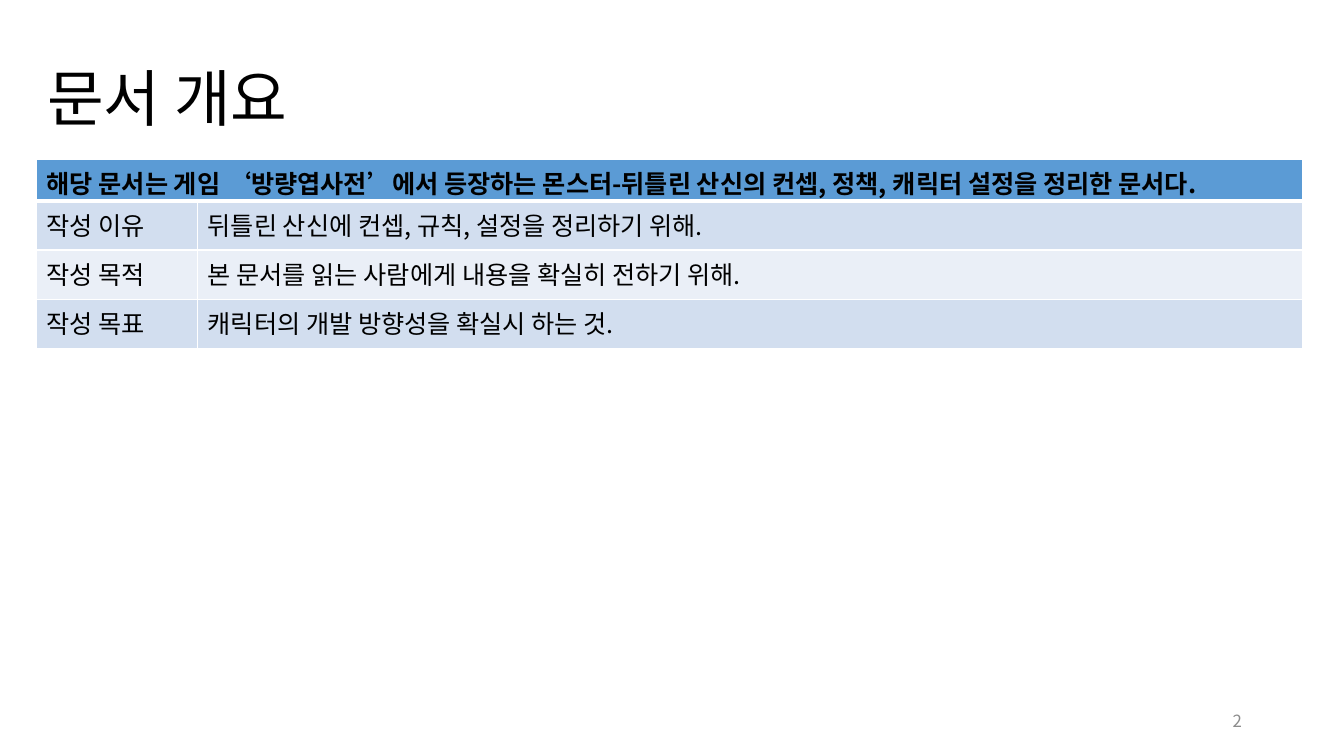
from lxml.etree import SubElement
from pptx import Presentation
from pptx.dml.color import RGBColor
from pptx.enum.text import MSO_ANCHOR as Anchor, PP_ALIGN as Align
from pptx.oxml.ns import qn
from pptx.util import Cm, Pt

BLACK = RGBColor(0x00, 0x00, 0x00)
GRAY = RGBColor(0x8C, 0x8C, 0x8C)
WHITE = RGBColor(0xFF, 0xFF, 0xFF)
HEADER_BLUE = RGBColor(0x5B, 0x9B, 0xD5)
BAND_DARK = RGBColor(0xD2, 0xDE, 0xEF)
BAND_LIGHT = RGBColor(0xEA, 0xEF, 0xF7)

HEADING = "해당 문서는 게임 ‘방량엽사전’에서 등장하는 몬스터-뒤틀린 산신의 컨셉, 정책, 캐릭터 설정을 정리한 문서다."
OVERVIEW = [
    ("작성 이유", "뒤틀린 산신에 컨셉, 규칙, 설정을 정리하기 위해."),
    ("작성 목적", "본 문서를 읽는 사람에게 내용을 확실히 전하기 위해."),
    ("작성 목표", "캐릭터의 개발 방향성을 확실시 하는 것."),
]


class OverviewPage:
    """Draws text and tables in one style on the current slide."""

    font_name = "Noto Sans CJK KR"

    def __init__(self, page):
        self.page = page

    def paragraph(self, frame, text, size, color=BLACK, bold=False, align=Align.LEFT):
        para = frame.paragraphs[0]
        para.text = text
        para.alignment = align
        font = para.font
        font.name, font.size, font.bold = self.font_name, Pt(size), bold
        font.color.rgb = color
        properties = para._p.pPr.find(qn("a:defRPr"))
        SubElement(properties, qn("a:ea"), typeface=self.font_name)
        return para

    def text(self, left, top, width, height, text, size, **style):
        box = self.page.shapes.add_textbox(Cm(left), Cm(top), Cm(width), Cm(height))
        frame = box.text_frame
        frame.word_wrap = True
        frame.vertical_anchor = Anchor.MIDDLE
        return self.paragraph(frame, text, size, **style)

    def cell(self, cell, text, fill, bold=False, bottom=1):
        properties = cell._tc.get_or_add_tcPr()
        for side, width in (("L", 1), ("R", 1), ("T", 1), ("B", bottom)):
            line = SubElement(properties, qn(f"a:ln{side}"), w=str(Pt(width)))
            solid = SubElement(line, qn("a:solidFill"))
            SubElement(solid, qn("a:srgbClr"), val=str(WHITE))
        cell.fill.solid()
        cell.fill.fore_color.rgb = fill
        self.paragraph(cell.text_frame, text, 18, bold=bold)

    def table(self, left, top, widths, heights, heading, rows):
        table = self.page.shapes.add_table(
            len(heights), len(widths), Cm(left), Cm(top),
            Cm(sum(widths)), Cm(sum(heights))).table
        for column, width in zip(table.columns, widths):
            column.width = Cm(width)
        for row, height in zip(table.rows, heights):
            row.height = Cm(height)
        table.cell(0, 0).merge(table.cell(0, len(widths) - 1))
        for index in range(len(widths)):
            self.cell(table.cell(0, index), "" if index else heading,
                      HEADER_BLUE, bold=True, bottom=3)
        for number, row in enumerate(rows, 1):
            fill = BAND_DARK if number % 2 else BAND_LIGHT
            for index, text in enumerate(row):
                self.cell(table.cell(number, index), text, fill)


def main():
    deck = Presentation()
    deck.slide_width, deck.slide_height = Cm(33.87), Cm(19.05)
    overview = OverviewPage(deck.slides.add_slide(deck.slide_layouts[6]))
    title = overview.text(0.94, 1.07, 32, 2.97, "문서 개요", 44)
    title.line_spacing = 0.9
    overview.table(0.92, 4.02, [4.06, 27.84], [1.04] + [1.24] * len(OVERVIEW),
                   HEADING, OVERVIEW)
    overview.text(23.93, 17.65, 7.62, 1.02, "2", 12, color=GRAY, align=Align.RIGHT)
    deck.save("out.pptx")


if __name__ == "__main__":
    main()
